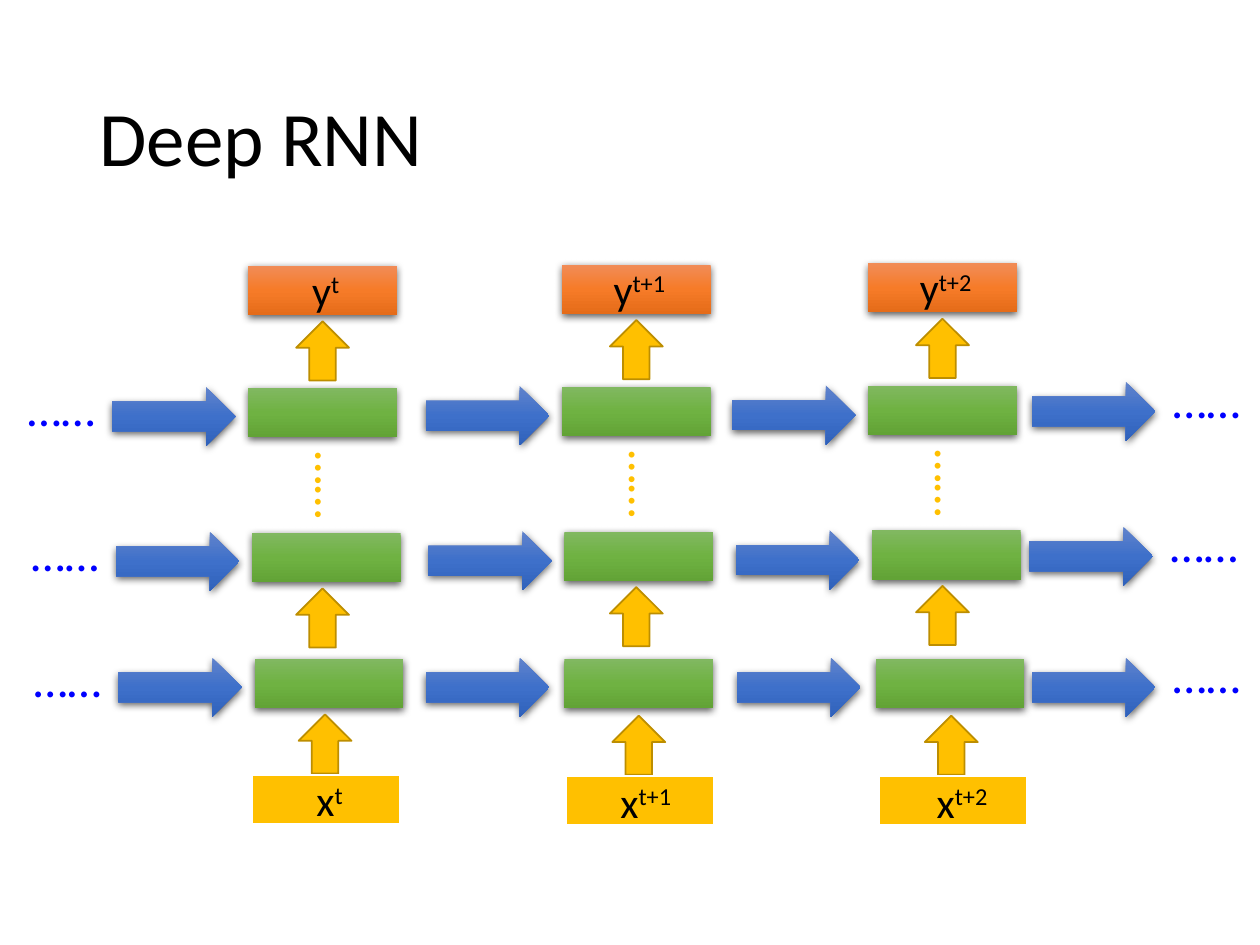
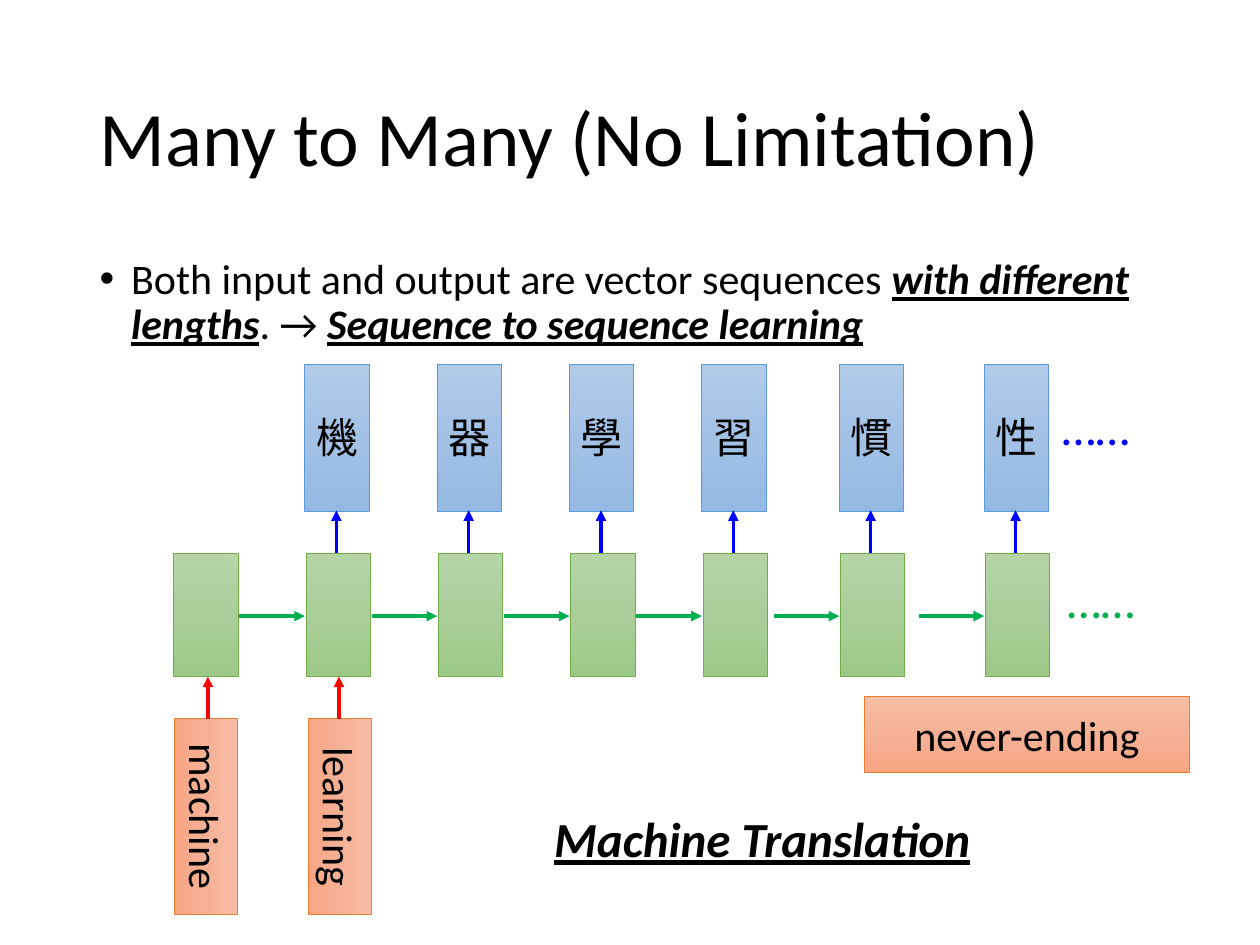
from dataclasses import dataclass
from typing import Any, NamedTuple, Optional

import lxml.etree
import pptx
import pptx.dml.color
import pptx.enum.shapes
import pptx.enum.text
import pptx.oxml.ns
import pptx.util

Inches = pptx.util.Inches
Pt = pptx.util.Pt
qn = pptx.oxml.ns.qn
SHAPE = pptx.enum.shapes.MSO_SHAPE
ALIGN = pptx.enum.text.PP_ALIGN
ANCHOR = pptx.enum.text.MSO_ANCHOR
AUTO_SIZE = pptx.enum.text.MSO_AUTO_SIZE

# Shared look
FONT = "Calibri"
DOTS = "……"
COLORS = {
    "text": "000000", "white": "FFFFFF", "blue": "0000FF", "red": "FF0000",
    "green": "00B050", "gold": "FFC000", "gold line": "BD8E00",
    "cell line": "70AD47", "output line": "5B9BD5", "word line": "ED7D31",
}
GRADIENTS = {
    "layer cell": ("81B861", "6FB242", "62A336"),
    "flow": ("6183CB", "3E70CA", "3062BB"),
    "result": ("F18C57", "F67B28", "E56C19"),
    "cell": ("B5D5A7", "AACE9A", "9CC987"),
    "output": ("B1CBE9", "A3C1E5", "93B9E4"),
    "word": ("F7BDA5", "F5B196", "F8A582"),
}


@dataclass(frozen=True)
class BlockStyle:
    width: float
    height: float
    fill: str
    preset: Any = SHAPE.RECTANGLE
    line: Optional[str] = None
    line_width: float = 0.5
    shadow: bool = False
    rotation: float = 0


class TextRun(NamedTuple):
    text: str
    emphasis: bool = False
    superscript: bool = False


LAYER_CELL = BlockStyle(1.18, 0.39, "layer cell", shadow=True)
RESULT = BlockStyle(1.18, 0.39, "result", shadow=True)
INPUT = BlockStyle(1.18, 0.39, "gold", line="white", line_width=1.5)
UP_ARROW = BlockStyle(0.42, 0.47, "gold", SHAPE.UP_ARROW, "gold line", 1)
FLOW_ARROW = BlockStyle(0.98, 0.47, "flow", SHAPE.RIGHT_ARROW, shadow=True)
CELL = BlockStyle(0.51, 0.98, "cell", line="cell line")
OUTPUT = BlockStyle(0.51, 1.17, "output", line="output line")
WORD = BlockStyle(1.55, 0.5, "word", line="word line", rotation=90)
ENDING = BlockStyle(2.58, 0.6, "word", line="word line")


def rgb(name: str) -> pptx.dml.color.RGBColor:
    return pptx.dml.color.RGBColor.from_string(COLORS[name])


def add_runs(paragraph: Any, runs: list[TextRun], size: float, color: str = "text") -> None:
    for item in runs:
        run = paragraph.add_run()
        run.text = item.text
        font = run.font
        font.name, font.size = FONT, Pt(size)
        font.color.rgb = rgb(color)
        if item.emphasis:
            font.bold = font.italic = font.underline = True
        if item.superscript:
            run._r.get_or_add_rPr().set("baseline", "30000")


def apply_gradient(shape: Any, colors: tuple[str, str, str]) -> None:
    """Vertical gradient with three evenly spaced stops."""
    shape.fill.gradient()
    shape.fill.gradient_angle = 270
    stops = shape.element.spPr.find(qn("a:gradFill")).find(qn("a:gsLst"))
    for stop in list(stops):
        stops.remove(stop)
    for index, color in enumerate(colors):
        stop = lxml.etree.SubElement(stops, qn("a:gs"), pos=str(index * 50000))
        lxml.etree.SubElement(stop, qn("a:srgbClr"), val=color)


def apply_shadow(shape: Any) -> None:
    effects = shape.element.spPr.find(qn("a:effectLst"))
    shadow = lxml.etree.SubElement(
        effects, qn("a:outerShdw"), blurRad=str(Pt(4.5)), dist=str(Pt(1.5)),
        dir="5400000", algn="ctr", rotWithShape="0")
    color = lxml.etree.SubElement(shadow, qn("a:srgbClr"), val=COLORS["text"])
    lxml.etree.SubElement(color, qn("a:alpha"), val="63000")


def add_block(slide: Any, style: BlockStyle, left: float, top: float, text: str = "") -> None:
    shape = slide.shapes.add_shape(
        style.preset, Inches(left), Inches(top), Inches(style.width), Inches(style.height))
    shape.rotation = style.rotation
    shape.shadow.inherit = False
    if style.fill in GRADIENTS:
        apply_gradient(shape, GRADIENTS[style.fill])
    else:
        shape.fill.solid()
        shape.fill.fore_color.rgb = rgb(style.fill)
    if style.line:
        shape.line.color.rgb = rgb(style.line)
        shape.line.width = Pt(style.line_width)
    else:
        shape.line.fill.background()
    if style.shadow:
        apply_shadow(shape)
    if text:
        paragraph = shape.text_frame.paragraphs[0]
        paragraph.alignment = ALIGN.CENTER
        add_runs(paragraph, [TextRun(text)], 24)


def add_label(slide: Any, left: float, top: float, width: float, runs: list[TextRun],
              size: float = 24, color: str = "text", alignment: Any = ALIGN.CENTER,
              rotation: float = 0) -> None:
    height = 0.57 if size == 28 else 0.5
    shape = slide.shapes.add_textbox(Inches(left), Inches(top), Inches(width), Inches(height))
    shape.rotation = rotation
    shape.text_frame.word_wrap = True
    shape.text_frame.auto_size = AUTO_SIZE.SHAPE_TO_FIT_TEXT
    paragraph = shape.text_frame.paragraphs[0]
    paragraph.alignment = alignment
    add_runs(paragraph, runs, size, color)


def add_dots(slide: Any, left: float, top: float, color: str = "blue", rotation: float = 0) -> None:
    add_label(slide, left, top, 0.97, [TextRun(DOTS)], 28, color, rotation=rotation)


def add_arrow(slide: Any, start: tuple[float, float], end: tuple[float, float], color: str) -> None:
    connector = slide.shapes.add_connector(
        pptx.enum.shapes.MSO_CONNECTOR.STRAIGHT, *map(Inches, start + end))
    connector.line.color.rgb = rgb(color)
    connector.line.width = Pt(2)
    properties = connector.element.spPr
    lxml.etree.SubElement(properties.find(qn("a:ln")), qn("a:tailEnd"), type="triangle")
    lxml.etree.SubElement(properties, qn("a:effectLst"))


def place(shape: Any, left: float, top: float, width: float, height: float) -> Any:
    shape.left, shape.top = Inches(left), Inches(top)
    shape.width, shape.height = Inches(width), Inches(height)
    shape.text_frame.auto_size = AUTO_SIZE.NONE
    return shape.text_frame.paragraphs[0]


def add_titled_slide(presentation: Any, layout: int, title: str) -> Any:
    slide = presentation.slides.add_slide(presentation.slide_layouts[layout])
    paragraph = place(slide.shapes.title, 0.69, 0.4, 8.62, 1.45)
    slide.shapes.title.text_frame.vertical_anchor = ANCHOR.MIDDLE
    paragraph.alignment = ALIGN.LEFT
    paragraph.line_spacing = 0.9
    add_runs(paragraph, [TextRun(title)], 44)
    return slide


# Slide 1: stacked layers unrolled over three time steps
class Layer(NamedTuple):
    cell_lefts: tuple[float, ...]
    cell_top: float
    flow_lefts: tuple[float, ...]
    last_flow_top: float
    rise: float  # how much each further column sits higher


class TimeStep(NamedTuple):
    suffix: str
    left: float
    input_left: float
    input_label_left: float
    input_top: float


LAYERS = [
    Layer((1.97, 4.46, 6.89), 3.08, (0.89, 3.38, 5.81, 8.19), 3.03, 0.01),
    Layer((2.0, 4.48, 6.92), 4.23, (0.92, 3.4, 5.84, 8.17), 4.18, 0.01),
    Layer((2.02, 4.48, 6.95), 5.23, (0.94, 3.38, 5.85, 8.19), 5.22, 0),
]
TIME_STEPS = [
    TimeStep("t", 1.97, 2.0, 2.12, 6.15),
    TimeStep("t+1", 4.46, 4.49, 4.63, 6.16),
    TimeStep("t+2", 6.89, 6.97, 7.14, 6.16),
]


def build_deep_rnn(presentation: Any) -> None:
    slide = add_titled_slide(presentation, 5, "Deep RNN")

    for layer in LAYERS:
        for index, left in enumerate(layer.cell_lefts):
            add_block(slide, LAYER_CELL, left, layer.cell_top - index * layer.rise)
        first_top = layer.cell_top - 0.01
        for index, left in enumerate(layer.flow_lefts[:-1]):
            add_block(slide, FLOW_ARROW, left, first_top - index * layer.rise / 2)
        add_block(slide, FLOW_ARROW, layer.flow_lefts[-1], layer.last_flow_top)
        add_dots(slide, layer.flow_lefts[0] - 0.89, first_top - 0.12)
        add_dots(slide, layer.flow_lefts[-1] + 0.9, layer.last_flow_top - 0.15)

    for index, step in enumerate(TIME_STEPS):
        rise = index * 0.01
        suffix = TextRun(step.suffix, superscript=True)
        # Output on top
        add_block(slide, RESULT, step.left, 2.11 - rise)
        add_label(slide, step.left + 0.12, 2.05 - rise, 0.99, [TextRun("y"), suffix])
        # Links between layers
        for top in (2.55, 4.67):
            add_block(slide, UP_ARROW, step.left + 0.38, top - rise)
        add_dots(slide, step.left + 0.2, 3.57 - rise, "gold", 90)
        # Input below
        add_block(slide, UP_ARROW, step.input_left + 0.37, step.input_top - 0.48)
        add_block(slide, INPUT, step.input_left, step.input_top)
        add_label(slide, step.input_label_left, step.input_top - 0.05, 0.99,
                  [TextRun("x"), suffix])


# Slide 2: sequence to sequence chain
WORDS = ("machine", "learning")
CHARACTERS = "機器學習慣性"
CELL_LEFTS = [1.38 + 1.05 * index for index in range(5)] + [6.67, 7.82]
BODY_RUNS = [
    TextRun("Both input and output are vector sequences "),
    TextRun("with different lengths", emphasis=True),
    TextRun(". → "),
    TextRun("Sequence to sequence learning", emphasis=True),
]


def add_body(slide: Any) -> None:
    paragraph = place(slide.placeholders[1], 0.69, 2, 8.62, 4.76)
    properties = paragraph._p.get_or_add_pPr()
    properties.set("marL", str(Inches(0.25)))
    properties.set("indent", str(Inches(-0.25)))
    lxml.etree.SubElement(properties, qn("a:buFont"), typeface="Arial")
    lxml.etree.SubElement(properties, qn("a:buChar"), char="•")
    paragraph.line_spacing = 0.9
    paragraph.space_before = Pt(0)
    add_runs(paragraph, BODY_RUNS, 24)


def build_many_to_many(presentation: Any) -> None:
    slide = add_titled_slide(presentation, 1, "Many to Many (No Limitation)")
    add_body(slide)

    # Input words
    for index, word in enumerate(WORDS):
        add_block(slide, WORD, 0.86 + 1.06 * index, 6.23, word)
        arrow_x = 1.65 + 1.04 * index
        add_arrow(slide, (arrow_x, 5.71), (arrow_x, 5.37), "red")

    # Cells, and an output above each cell but the first
    for left in CELL_LEFTS:
        add_block(slide, CELL, left, 4.39)
    for left, character in zip(CELL_LEFTS[1:], CHARACTERS):
        add_block(slide, OUTPUT, left - 0.01, 2.89)
        add_label(slide, left - 0.1, 3.22, 0.69, [TextRun(character)])
        add_arrow(slide, (left + 0.24, 4.39), (left + 0.24, 4.05), "blue")
        add_arrow(slide, (left - 0.53, 4.89), (left - 0.01, 4.89), "green")

    # The chain goes on
    for left, top, color in ((8.37, 4.47, "green"), (8.33, 3.1, "blue")):
        add_label(slide, left, top, 1.21, [TextRun(DOTS)], 28, color, ALIGN.LEFT)
    add_block(slide, ENDING, 6.86, 5.53, "never-ending")
    add_label(slide, 3.96, 6.37, 4.18, [TextRun("Machine Translation", emphasis=True)], 28)


def main() -> None:
    presentation = pptx.Presentation()
    presentation.slide_width, presentation.slide_height = Inches(10), Inches(7.5)
    build_deep_rnn(presentation)
    build_many_to_many(presentation)
    presentation.save("out.pptx")


if __name__ == "__main__":
    main()
